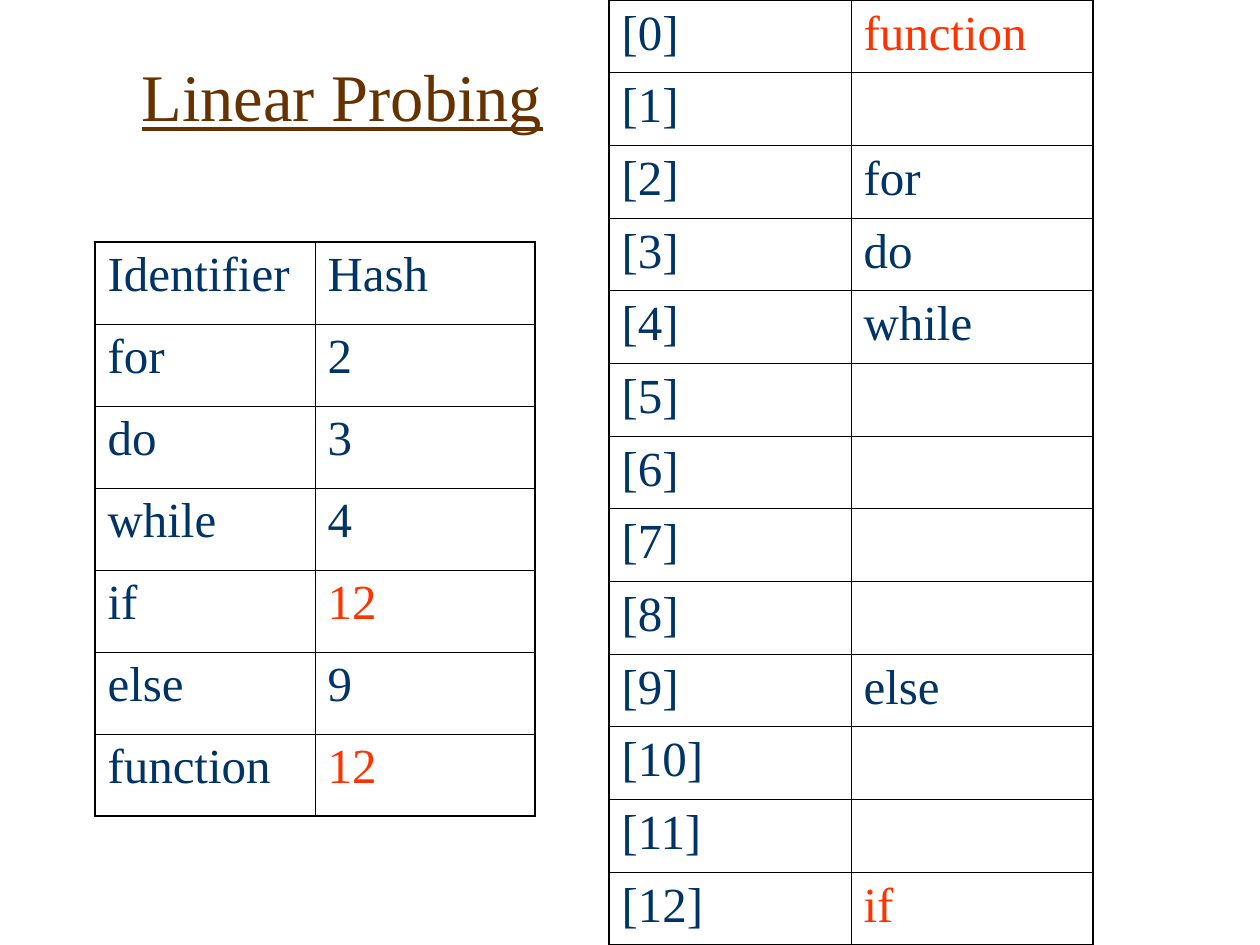
from dataclasses import dataclass

from lxml import etree
from pptx import Presentation
from pptx.dml.color import RGBColor
from pptx.enum.text import MSO_ANCHOR, MSO_AUTO_SIZE, PP_ALIGN
from pptx.oxml.ns import qn
from pptx.slide import Slide
from pptx.table import _Cell
from pptx.util import Emu, Pt

LEFT = PP_ALIGN.LEFT
MIDDLE = MSO_ANCHOR.MIDDLE
NO_AUTOFIT = MSO_AUTO_SIZE.NONE
TITLE_ONLY = 5
PX_PER_INCH = 126


@dataclass(frozen=True)
class Theme:
    font: str = "Times New Roman"
    title: str = "663300"
    title_shadow: str = "808080"
    text: str = "003366"
    collision: str = "FF3300"
    border: str = "000000"
    title_size: int = 38
    text_size: int = 28
    outer_border: float = 1.08
    inner_border: float = 0.45


@dataclass(frozen=True)
class Grid:
    left: int
    top: int
    column_width: int
    height: int
    rows: list[tuple[str, str]]
    collisions: set[str]


THEME = Theme()
BUCKET_COUNT = 13
STORED = {0: "function", 2: "for", 3: "do", 4: "while", 9: "else", 12: "if"}

BUCKETS = Grid(
    609, 0, 242, 945,
    [(f"[{index}]", STORED.get(index, "")) for index in range(BUCKET_COUNT)],
    {"function", "if"},
)
HASHES = Grid(
    95, 242, 220, 574,
    [
        ("Identifier", "Hash"),
        ("for", "2"),
        ("do", "3"),
        ("while", "4"),
        ("if", "12"),
        ("else", "9"),
        ("function", "12"),
    ],
    {"12"},
)


def px(length: int) -> Emu:
    return Emu(round(length * 914400 / PX_PER_INCH))


def add_title(slide: Slide, wording: str) -> None:
    title = slide.shapes.title
    title.left, title.top, title.width, title.height = map(px, (129, 37, 1071, 116))
    frame = title.text_frame
    frame.auto_size = NO_AUTOFIT
    frame.vertical_anchor = MIDDLE
    paragraph = frame.paragraphs[0]
    paragraph.alignment = LEFT
    run = paragraph.add_run()
    run.text = wording
    font = paragraph.font
    font.name = THEME.font
    font.size = Pt(THEME.title_size)
    font.underline = True
    font.color.rgb = RGBColor.from_string(THEME.title)
    effects = etree.SubElement(run._r.get_or_add_rPr(), qn("a:effectLst"))
    shadow = etree.SubElement(
        effects, qn("a:outerShdw"), dist=str(px(3)), dir="2700000"
    )
    etree.SubElement(shadow, qn("a:srgbClr"), val=THEME.title_shadow)


def add_border(cell: _Cell, side: str, outer: bool) -> None:
    width = THEME.outer_border if outer else THEME.inner_border
    line = etree.SubElement(
        cell._tc.get_or_add_tcPr(), qn(f"a:ln{side}"), w=str(Pt(width))
    )
    fill = etree.SubElement(line, qn("a:solidFill"))
    etree.SubElement(fill, qn("a:srgbClr"), val=THEME.border)


def write_cell(cell: _Cell, wording: str, color: str) -> None:
    cell.text = wording
    font = cell.text_frame.paragraphs[0].font
    font.name = THEME.font
    font.size = Pt(THEME.text_size)
    font.color.rgb = RGBColor.from_string(color)


def add_grid(slide: Slide, grid: Grid) -> None:
    row_count, column_count = len(grid.rows), len(grid.rows[0])
    table = slide.shapes.add_table(
        row_count, column_count, px(grid.left), px(grid.top),
        px(grid.column_width * column_count), px(grid.height),
    ).table
    table.first_row = False
    table.horz_banding = False
    for column in table.columns:
        column.width = px(grid.column_width)
    for row_index, entries in enumerate(grid.rows):
        table.rows[row_index].height = Emu(px(grid.height) // row_count)
        for column_index, entry in enumerate(entries):
            cell = table.cell(row_index, column_index)
            color = THEME.collision if entry in grid.collisions and column_index else THEME.text
            write_cell(cell, entry, color)
            add_border(cell, "L", column_index == 0)
            add_border(cell, "R", column_index == column_count - 1)
            add_border(cell, "T", row_index == 0)
            add_border(cell, "B", row_index == row_count - 1)
            cell.fill.background()


def main() -> None:
    presentation = Presentation()
    presentation.slide_width = px(1260)
    presentation.slide_height = px(945)
    slide = presentation.slides.add_slide(presentation.slide_layouts[TITLE_ONLY])
    add_title(slide, "Linear Probing")
    add_grid(slide, BUCKETS)
    add_grid(slide, HASHES)
    presentation.save("out.pptx")


if __name__ == "__main__":
    main()
